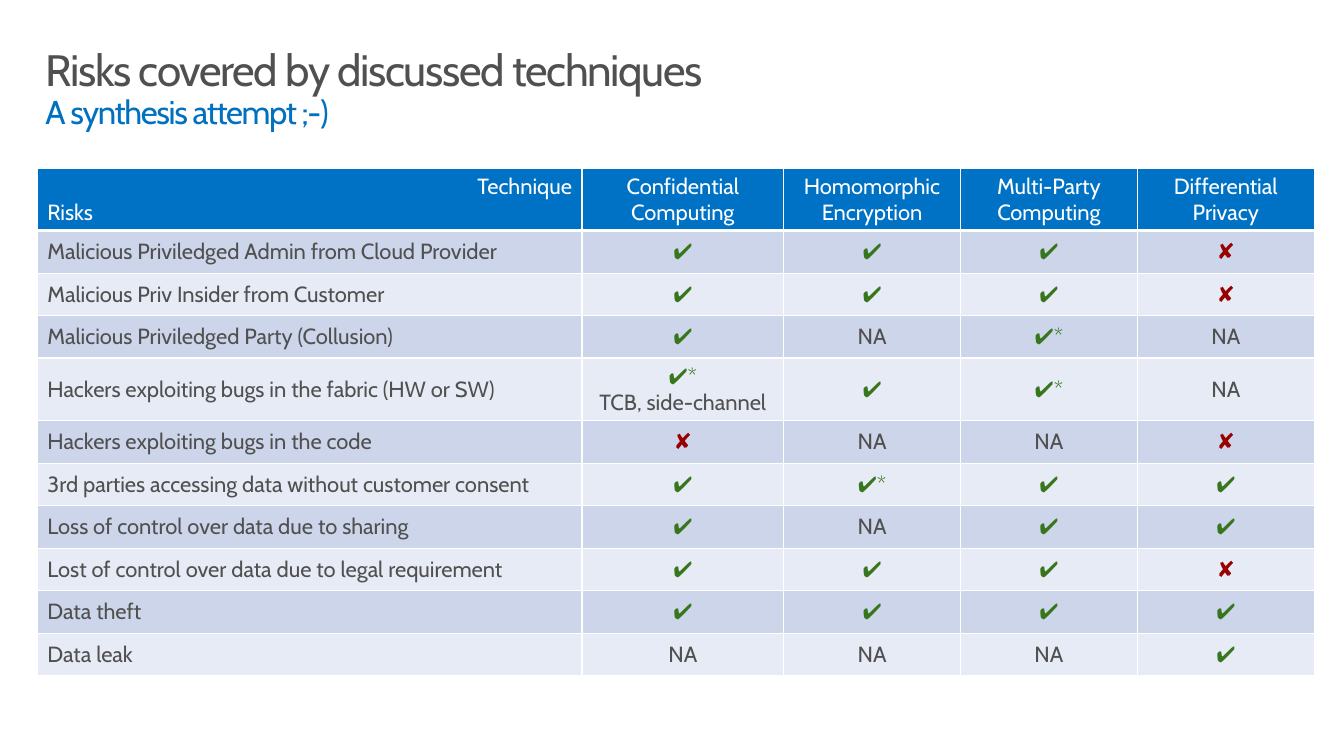
"""Build a slide that compares privacy techniques by the risks they cover."""
from dataclasses import dataclass

from lxml import etree
from pptx import Presentation, util as u
from pptx.dml.color import RGBColor
from pptx.enum import text
from pptx.oxml.ns import qn


@dataclass(frozen=True)
class Theme:
    """Hold the colours, the font and the type sizes."""
    font: str = "Cabin"
    ink: str = "505050"
    blue: str = "0070C0"
    head: str = "0072C6"
    white: str = "FFFFFF"
    yes: str = "38761D"
    no: str = "980000"
    bands: tuple = ("CCD5EA", "E7EBF5")
    big: int = 32
    mid: int = 24
    body: int = 16
    thin: int = 1
    thick: int = 3


LEFT, MID, RIGHT = text.PP_ALIGN.LEFT, text.PP_ALIGN.CENTER, text.PP_ALIGN.RIGHT
COLS, ROWS = 136, 76.5
WIDTHS = (55.1, 20.4, 17.9, 17.9, 17.9)
TALL, LOW = 5.5, 4.3
HEADS = ("Technique\nRisks", "Confidential Computing", "Homomorphic Encryption",
         "Multi-Party Computing", "Differential Privacy")
RISKS = (
    ("Malicious Priviledged Admin from Cloud Provider", "✔", "✔", "✔", "✘"),
    ("Malicious Priv Insider from Customer", "✔", "✔", "✔", "✘"),
    ("Malicious Priviledged Party (Collusion)", "✔", "NA", "✔*", "NA"),
    ("Hackers exploiting bugs in the fabric (HW or SW)",
     "✔*\nTCB, side-channel", "✔", "✔*", "NA"),
    ("Hackers exploiting bugs in the code", "✘", "NA", "NA", "✘"),
    ("3rd parties accessing data without customer consent", "✔", "✔*", "✔", "✔"),
    ("Loss of control over data due to sharing", "✔", "NA", "✔", "✔"),
    ("Lost of control over data due to legal requirement", "✔", "✔", "✔", "✘"),
    ("Data theft", "✔", "✔", "✔", "✔"),
    ("Data leak", "NA", "NA", "NA", "✔"),
)


class Deck:
    """Draw styled elements on the current slide, placed on a grid."""

    def __init__(self, theme):
        """Open a deck with one blank slide."""
        self.theme = theme
        self.prs = Presentation()
        self.prs.slide_width, self.prs.slide_height = u.Inches(13.6), u.Inches(7.65)
        self.slide = self.prs.slides.add_slide(self.prs.slide_layouts[6])

    def across(self, cols):
        """Turn grid columns into a length."""
        return round(self.prs.slide_width * cols / COLS)

    def down(self, rows):
        """Turn grid rows into a length."""
        return round(self.prs.slide_height * rows / ROWS)

    def apply(self, item, form):
        """Set attributes from a dict of format values."""
        for key, value in form.items():
            setattr(item, key, value)

    def label(self, para, words, size, tint):
        """Add a styled run to a paragraph."""
        run = para.add_run()
        run.text = words
        self.apply(run.font, {"name": self.theme.font, "size": u.Pt(size), "bold": False})
        run.font.color.rgb = RGBColor.from_string(tint)
        return run

    def title(self, x, y, w, h, lines):
        """Add a tightly spaced title of several lines."""
        box = self.slide.shapes.add_textbox(
            self.across(x), self.down(y), self.across(w), self.down(h))
        frame = box.text_frame
        self.apply(frame, {"word_wrap": True,
                           "margin_left": self.across(1.6), "margin_right": self.across(1.6),
                           "margin_top": self.down(1), "margin_bottom": self.down(1)})
        para = frame.paragraphs[0]
        para.line_spacing = 0.9
        for i, (words, size, tint) in enumerate(lines):
            if i:
                para.add_line_break()
            run = self.label(para, words, size, tint)
            run.font._element.set("spc", "-100")

    def edge(self, cell, sides):
        """Give a cell white borders of the given widths."""
        props = cell._tc.get_or_add_tcPr()
        for i, (side, width) in enumerate(sides.items()):
            line = etree.Element(qn(f"a:ln{side}"), w=str(u.Pt(width)))
            fill = etree.SubElement(line, qn("a:solidFill"))
            etree.SubElement(fill, qn("a:srgbClr"), val=self.theme.white)
            props.insert(i, line)

    def tint(self, words, row):
        """Choose the text colour for a cell line."""
        if row == 0:
            return self.theme.white
        return {"✔": self.theme.yes, "✘": self.theme.no}.get(words[0], self.theme.ink)

    def cell(self, cell, words, row, col):
        """Fill, border and letter one table cell."""
        t = self.theme
        cell.vertical_anchor = text.MSO_ANCHOR.MIDDLE
        cell.fill.solid()
        shade = t.bands[(row - 1) % 2] if row else t.head
        cell.fill.fore_color.rgb = RGBColor.from_string(shade)
        self.edge(cell, {"L": t.thin, "R": t.thin,
                         "T": t.thick if row == 1 else t.thin,
                         "B": t.thin if row else t.thick})
        frame = cell.text_frame
        for i, line in enumerate(words.split("\n")):
            para = frame.add_paragraph() if i else frame.paragraphs[0]
            para.alignment = MID if col else LEFT
            if line == "Technique":
                para.alignment = RIGHT
            self.label(para, line, t.body, self.tint(line, row))

    def table(self, x, y, widths, data):
        """Add a table whose rows grow with their line count."""
        highs = [LOW if i and not any("\n" in c for c in row) else TALL
                 for i, row in enumerate(data)]
        grid = self.slide.shapes.add_table(
            len(data), len(widths), self.across(x), self.down(y),
            self.across(sum(widths)), self.down(sum(highs))).table
        self.apply(grid, {"first_row": False, "horz_banding": False})
        for col, width in zip(grid.columns, widths):
            col.width = self.across(width)
        for r, (row, high) in enumerate(zip(data, highs)):
            grid.rows[r].height = self.down(high)
            for c, words in enumerate(row):
                self.cell(grid.cell(r, c), words, r, c)


def main():
    """Build and save the deck."""
    t = Theme()
    deck = Deck(t)
    deck.title(3, 3.9, 130, 6.8, (
        ("Risks covered by discussed techniques", t.big, t.ink),
        ("A synthesis attempt ;-)", t.mid, t.blue)))
    deck.table(3.8, 17, WIDTHS, (HEADS, *RISKS))
    deck.prs.save("out.pptx")


if __name__ == "__main__":
    main()
